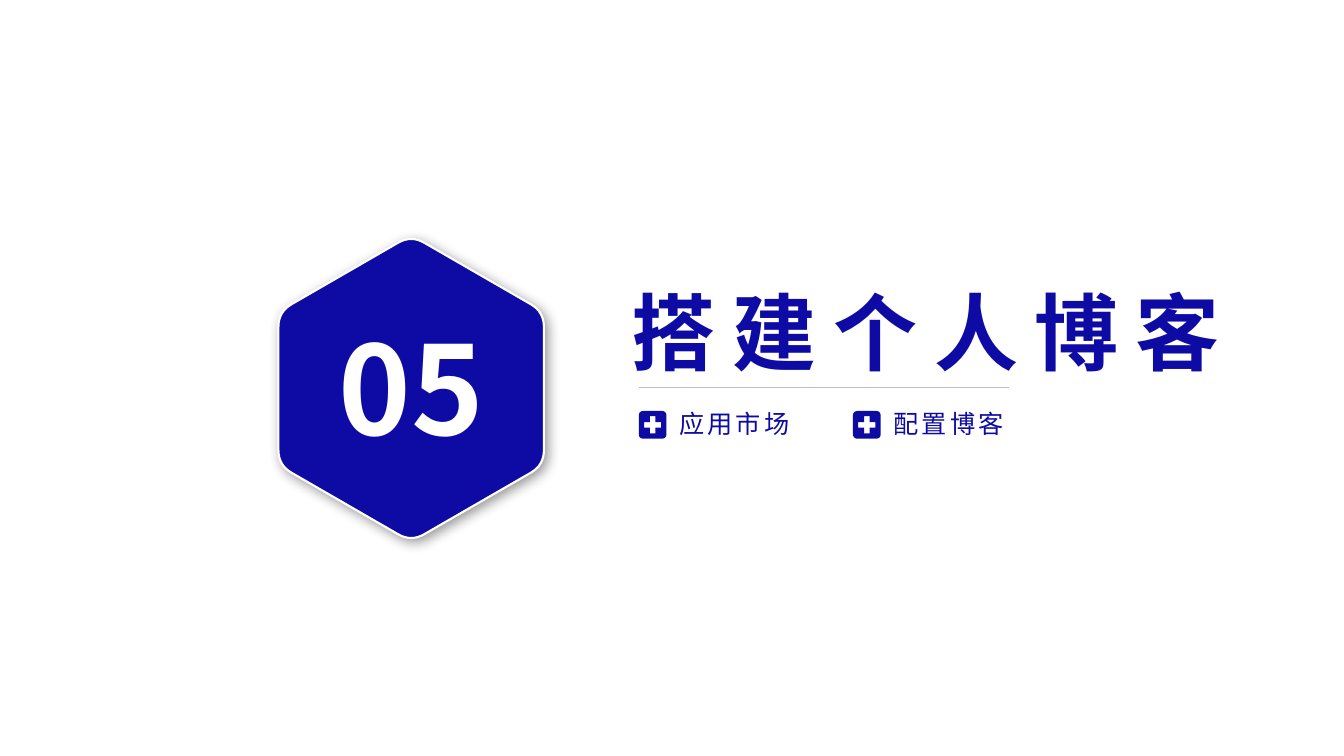
import math

from lxml import etree
from pptx import Presentation
from pptx import util as u
from pptx.dml.color import RGBColor
from pptx.enum import shapes, text
from pptx.oxml import ns

BLUE = RGBColor(0x0E, 0x0B, 0xA4)
WHITE = RGBColor(0xFF, 0xFF, 0xFF)
GREY = RGBColor(0xBF, 0xBF, 0xBF)
SANS_SC = "Noto Sans CJK SC"
SANS_JP = "Noto Sans CJK JP"

COLUMNS, ROWS = 64, 36
WIDTH, HEIGHT = u.Inches(13.33), u.Inches(7.5)
TOPICS = ("应用市场", "配置博客")
TOPIC_STEP = 10.2


def grid(col, row):
    """Turn a column and a row of the grid into slide lengths."""
    return round(col * WIDTH / COLUMNS), round(row * HEIGHT / ROWS)


def rounded(corners, cut, steps=8):
    """Round each corner with a curve that starts and ends at distance cut."""
    points = []
    for i, corner in enumerate(corners):
        ends = []
        for other in (corners[i - 1], corners[(i + 1) % len(corners)]):
            share = cut / math.dist(corner, other)
            ends.append([c + (o - c) * share for c, o in zip(corner, other)])
        for step in range(steps + 1):
            t = step / steps
            points.append([(1 - t) ** 2 * a + 2 * t * (1 - t) * c + t * t * b
                           for a, c, b in zip(ends[0], corner, ends[1])])
    return points


def add_outline(page, contours):
    """Add a blue shape; contours after the first one are holes."""
    first, *holes = [[grid(*point) for point in contour] for contour in contours]
    builder = page.shapes.build_freeform(*first[0])
    builder.add_line_segments(first[1:])
    for hole in holes:
        builder.move_to(*hole[0])
        builder.add_line_segments(hole[1:])
    outline = builder.convert_to_shape()
    outline.shadow.inherit = False
    outline.fill.solid()
    outline.fill.fore_color.rgb = BLUE
    outline.line.fill.background()
    return outline


def add_hexagon(page, col, row, radius):
    angles = [math.radians(60 * i - 90) for i in range(6)]
    corners = [(col + radius * math.cos(a), row + radius * math.sin(a)) for a in angles]
    hexagon = add_outline(page, [rounded(corners, 0.72)])
    hexagon.line.color.rgb = WHITE
    hexagon.line.width = u.Pt(1.5)
    effects = hexagon._element.spPr.find(ns.qn("a:effectLst"))
    shadow = etree.SubElement(effects, ns.qn("a:outerShdw"), blurRad=str(u.Pt(9)),
                              dist=str(u.Pt(3)), dir="2700000", algn="tl", rotWithShape="0")
    black = etree.SubElement(shadow, ns.qn("a:srgbClr"), val="000000")
    etree.SubElement(black, ns.qn("a:alpha"), val="40000")


def add_plus_icon(page, col, row):
    half, arm, bar = 0.66, 0.41, 0.13
    square = [(col + x * half, row + y * half)
              for x, y in ((-1, -1), (1, -1), (1, 1), (-1, 1))]
    quarter = [(bar, -arm), (bar, -bar), (arm, -bar)]
    plus = []
    for _ in range(4):
        plus += [(col + x, row + y) for x, y in quarter]
        quarter = [(-y, x) for x, y in quarter]
    add_outline(page, [rounded(square, 0.24), plus])


def place(box, col, row, cols, rows):
    box.left, box.top = grid(col, row)
    box.width, box.height = grid(cols, rows)


def write(box, words, size, color, font, bold=False, spacing=0,
          align=text.PP_ALIGN.LEFT):
    frame = box.text_frame
    frame.word_wrap = True
    frame.auto_size = text.MSO_AUTO_SIZE.NONE
    frame.vertical_anchor = text.MSO_ANCHOR.MIDDLE
    frame.margin_left = frame.margin_right = u.Inches(0.04)
    frame.margin_top = frame.margin_bottom = u.Inches(0.02)
    para = frame.paragraphs[0]
    para.alignment = align
    span = para.add_run()
    span.text = words
    span.font.size = u.Pt(size)
    span.font.bold = bold
    span.font.color.rgb = color
    span.font.name = font
    props = span._r.get_or_add_rPr()
    props.set("spc", str(round(spacing * 100)))
    etree.SubElement(props, ns.qn("a:ea"), typeface=font)


def add_label(page, cell, words, size, color, font, **style):
    box = page.shapes.add_textbox(0, 0, 0, 0)
    place(box, *cell)
    write(box, words, size, color, font, **style)


def add_rule(page, start, end):
    rule = page.shapes.add_connector(shapes.MSO_CONNECTOR.STRAIGHT,
                                     *grid(*start), *grid(*end))
    rule.line.color.rgb = GREY
    rule.line.width = u.Pt(0.5)
    etree.SubElement(rule._element.spPr, ns.qn("a:effectLst"))


def main():
    deck = Presentation()
    deck.slide_width, deck.slide_height = WIDTH, HEIGHT
    page = deck.slides.add_slide(deck.slide_layouts[5])

    add_hexagon(page, 19.58, 18.5, 7.3)
    add_label(page, (14.35, 14.58, 10.51, 7.58), "05", 88, WHITE, SANS_JP,
              bold=True, align=text.PP_ALIGN.CENTER)

    title = page.shapes.title
    place(title, 29.9, 13.25, 32.64, 5.04)
    write(title, "搭建个人博客", 60, BLUE, SANS_SC, bold=True, spacing=12)

    add_rule(page, (30.43, 18.43), (48.05, 18.43))
    for i, topic in enumerate(TOPICS):
        shift = i * TOPIC_STEP
        add_plus_icon(page, 31.08 + shift, 20.23)
        add_label(page, (32.16 + shift, 19.34, 8.45, 1.63), topic, 18, BLUE,
                  SANS_SC, spacing=2.2)
    deck.save("out.pptx")


if __name__ == "__main__":
    main()
